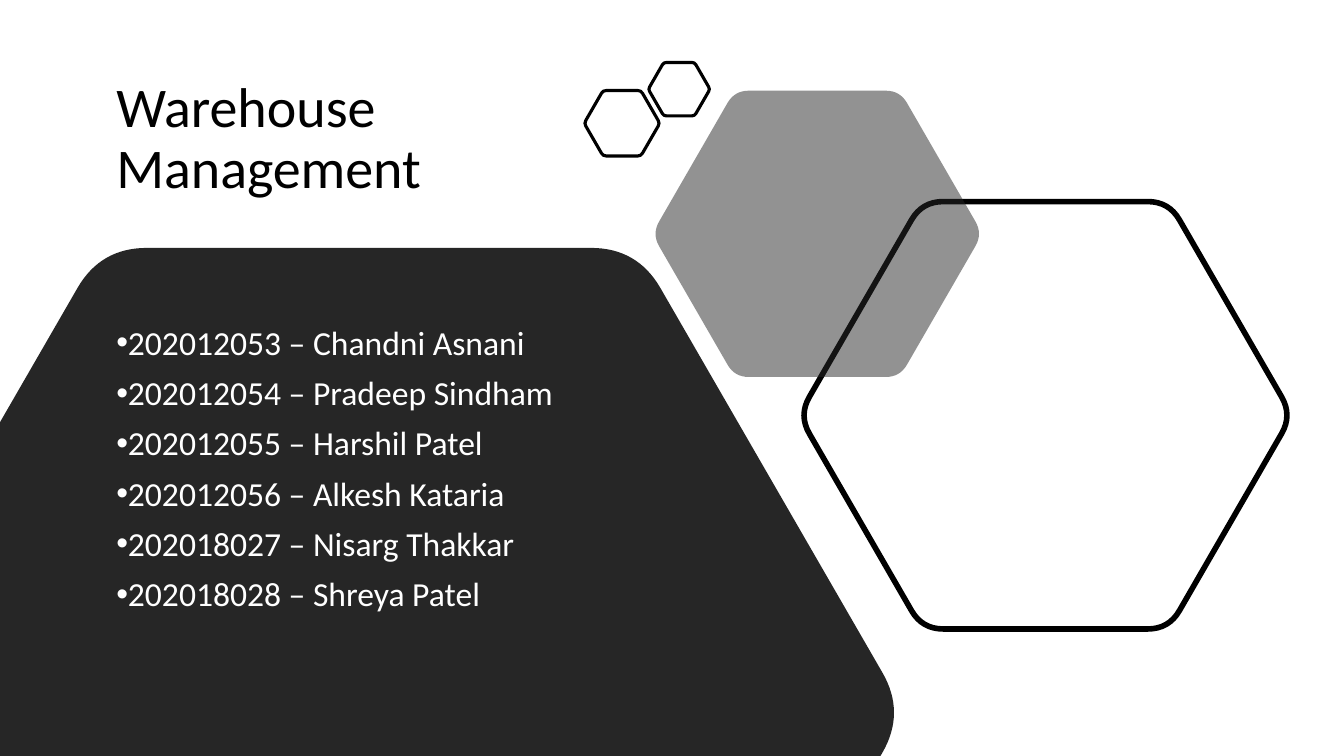
from dataclasses import dataclass
from math import cos, pi, sin
from typing import NamedTuple

from pptx import Presentation
from pptx.dml.color import RGBColor
from pptx.enum.text import MSO_ANCHOR
from pptx.oxml.ns import qn
from pptx.util import Inches, Pt
from lxml.etree import SubElement

COLORS = {"ink": "000000", "dark": "262626", "pale": "FFFFFF"}
FONT = "Calibri"
COLS, ROWS = 160, 90
ROUND = 0.086


class Point(NamedTuple):
    x: float
    y: float
    bend: bool = False


@dataclass
class Hex:
    col: float
    row: float
    half: float
    fill: str = ""
    alpha: int = 100
    width: float = 0


@dataclass
class Block:
    col: float
    row: float
    wide: float
    high: float
    lines: list[str]
    size: int
    color: str
    anchor: MSO_ANCHOR
    before: int = 0
    bullet: str = ""


HEXES = [
    Hex(43.92, 84.84, 55.32, fill="dark"),
    Hex(124.47, 49.44, 25.44, width=4),
    Hex(97.3, 27.84, 17.04, fill="dark", alpha=50),
    Hex(74.05, 14.67, 3.9, width=2.25),
    Hex(80.85, 10.62, 3.18, width=2.25),
]

BLOCKS = [
    Block(12.66, 5.88, 56.16, 21.6, ["Warehouse Management"],
          40, "ink", MSO_ANCHOR.MIDDLE),
    Block(12.66, 38.24, 62.28, 40.56, [
        "202012053 – Chandni Asnani",
        "202012054 – Pradeep Sindham",
        "202012055 – Harshil Patel",
        "202012056 – Alkesh Kataria",
        "202018027 – Nisarg Thakkar",
        "202018028 – Shreya Patel",
    ], 24, "pale", MSO_ANCHOR.TOP, 10, "•"),
]

deck = Presentation()
deck.slide_height = Inches(7.5)
deck.slide_width = deck.slide_height * COLS // ROWS
slide = deck.slides.add_slide(deck.slide_layouts[6])
cell = deck.slide_height / ROWS


def tint(name: str) -> RGBColor:
    return RGBColor.from_string(COLORS[name])


def mix(start: Point, end: Point, share: float, bend: bool = False) -> Point:
    return Point(start.x + (end.x - start.x) * share,
                 start.y + (end.y - start.y) * share, bend)


def outline(item: Hex) -> list[Point]:
    side = item.half / sin(pi / 3)
    tips = [Point(item.col + side * cos(k * pi / 3), item.row + side * sin(k * pi / 3))
            for k in range(6)]
    points = []
    for k, tip in enumerate(tips):
        start = mix(tip, tips[k - 1], ROUND)
        end = mix(tip, tips[(k + 1) % 6], ROUND)
        crest = mix(mix(start, end, 0.5), tip, 0.5, bend=True)
        points += [start, crest, end]
    return points


def clip(points: list[Point], axis: int, limit: float, sign: int) -> list[Point]:
    kept = []
    for k, point in enumerate(points):
        last = points[k - 1]
        gap, prior = (sign * (limit - p[axis]) for p in (point, last))
        if gap * prior < 0:
            kept.append(mix(last, point, prior / (prior - gap)))
        if gap >= 0:
            kept.append(point)
    return kept


def curve(track, points: list[Point]) -> None:
    nodes = list(track)
    for k, point in enumerate(points):
        if point.bend:
            start, crest, end = (node[0] for node in nodes[k - 1:k + 2])
            for key in ("x", "y"):
                ends = int(start.get(key)) + int(end.get(key))
                crest.set(key, str(2 * int(crest.get(key)) - ends // 2))
            nodes[k].tag = qn("a:quadBezTo")
            nodes[k].append(end)
            track.remove(nodes[k + 1])


def draw(item: Hex) -> None:
    points = clip(clip(outline(item), 0, 0, -1), 1, ROWS, 1)
    spots = [(round(p.x * cell), round(p.y * cell)) for p in points]
    pen = slide.shapes.build_freeform(*spots[0], scale=1.0)
    pen.add_line_segments(spots[1:], close=True)
    shape = pen.convert_to_shape()
    curve(next(shape._element.iter(qn("a:path"))), points)
    shape.shadow.inherit = False
    if item.fill:
        shape.fill.solid()
        shape.fill.fore_color.rgb = tint(item.fill)
        shape.line.fill.background()
    else:
        shape.fill.background()
        shape.line.color.rgb = tint("ink")
        shape.line.width = Pt(item.width)
    if item.alpha < 100:
        color = next(shape._element.spPr.iter(qn("a:srgbClr")))
        SubElement(color, qn("a:alpha"), val=str(item.alpha * 1000))


def write(item: Block) -> None:
    spot = (round(n * cell) for n in (item.col, item.row, item.wide, item.high))
    frame = slide.shapes.add_textbox(*spot).text_frame
    frame.word_wrap = True
    frame.vertical_anchor = item.anchor
    frame.text = "\n".join(item.lines)
    style = {"line_spacing": 0.9, "space_before": Pt(item.before)}
    face = {"name": FONT, "size": Pt(item.size)}
    for para in frame.paragraphs:
        for key, value in style.items():
            setattr(para, key, value)
        font = para.runs[0].font
        for key, value in face.items():
            setattr(font, key, value)
        font.color.rgb = tint(item.color)
        if item.bullet:
            props = para._p.get_or_add_pPr()
            props.set("marL", "0")
            props.set("indent", str(-Inches(0.25)))
            SubElement(props, qn("a:buFont"), typeface="Arial")
            SubElement(props, qn("a:buChar"), char=item.bullet)


for item in HEXES:
    draw(item)
for item in BLOCKS:
    write(item)

deck.save("out.pptx")
